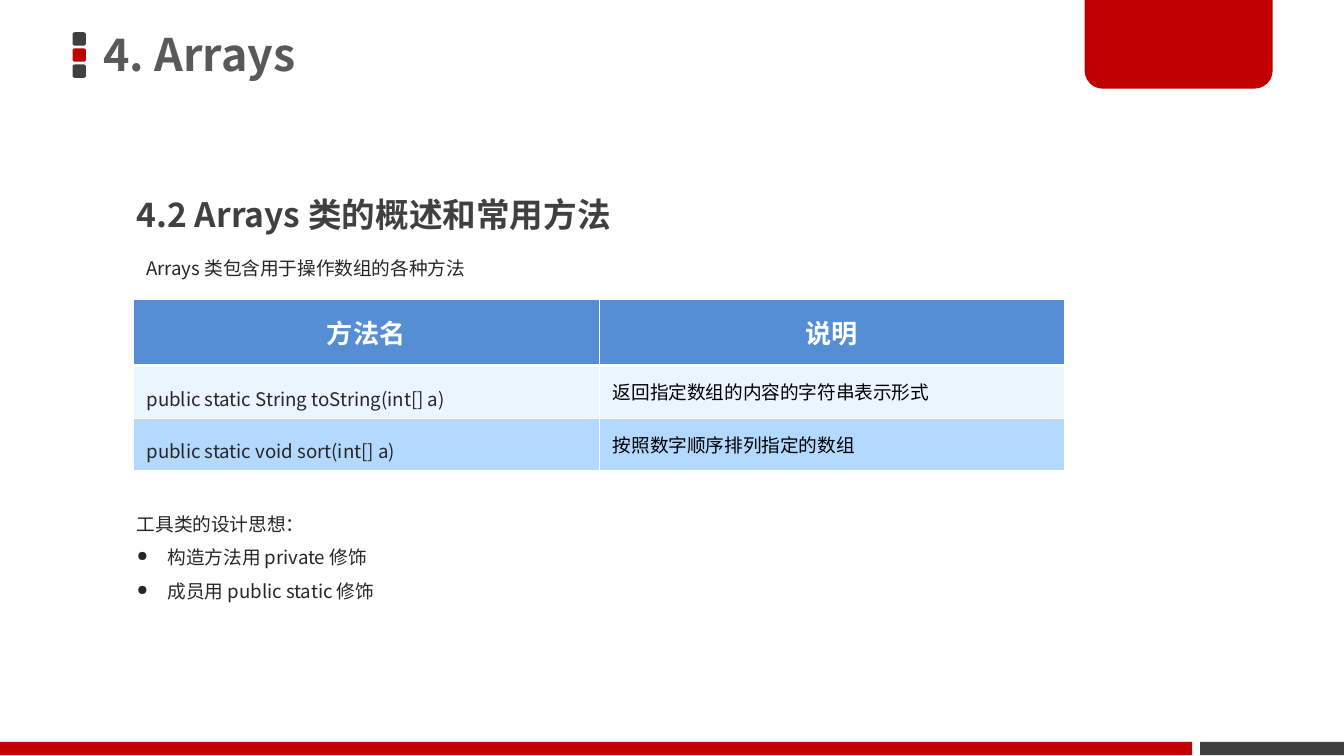
from dataclasses import dataclass

from lxml import etree
from pptx import Presentation, util as u
from pptx.dml.color import RGBColor
from pptx.enum import shapes, text
from pptx.oxml.ns import qn

WIDTH = 10
HEIGHT = WIDTH * 9 / 16


@dataclass(frozen=True)
class Theme:
    """Colours, font and type sizes of the slide."""
    font: str = "Noto Sans CJK SC"
    red: str = "C00000"
    dark: str = "404040"
    title: str = "595959"
    body: str = "262626"
    black: str = "000000"
    white: str = "FFFFFF"
    header: str = "558ED5"
    bands: tuple = ("EBF5FF", "B3D9FF")
    title_size: int = 24
    heading_size: int = 18
    header_size: int = 14
    body_size: int = 10


THEME = Theme()


def add_span(para, words, size, color, bold=False):
    """Add one formatted run to a paragraph."""
    span = para.add_run()
    span.text = words
    span.font.size = u.Pt(size)
    span.font.bold = bold
    span.font.name = THEME.font
    span.font.color.rgb = RGBColor.from_string(color)
    east = etree.SubElement(span.font._element, qn("a:ea"))
    east.set("typeface", THEME.font)


def add_block(page, place, color, kind=shapes.MSO_SHAPE.RECTANGLE, corners=()):
    """Add a filled shape without an outline."""
    block = page.shapes.add_shape(kind, *map(u.Inches, place))
    for index, corner in enumerate(corners):
        block.adjustments[index] = corner
    block.shadow.inherit = False
    block.fill.solid()
    block.fill.fore_color.rgb = RGBColor.from_string(color)
    block.line.fill.background()


def add_bullet(para, indent=0.23):
    """Give a paragraph a round bullet with a hanging indent."""
    properties = para._p.get_or_add_pPr()
    properties.set("marL", str(u.Inches(indent)))
    properties.set("indent", str(-u.Inches(indent)))
    color = etree.SubElement(properties, qn("a:buClr"))
    etree.SubElement(color, qn("a:srgbClr")).set("val", THEME.body)
    etree.SubElement(properties, qn("a:buSzPct")).set("val", "75000")
    etree.SubElement(properties, qn("a:buChar")).set("char", "●")


def add_text(page, place, lines, size, color, bold=False):
    """Add a text box; each line is a pair of words and a bullet flag."""
    box = page.shapes.add_textbox(*map(u.Inches, place))
    frame = box.text_frame
    frame.word_wrap = True
    for index, (words, bulleted) in enumerate(lines):
        para = frame.add_paragraph() if index else frame.paragraphs[0]
        para.line_spacing = 1.5
        if bulleted:
            add_bullet(para)
        add_span(para, words, size, color, bold)


def set_title(page, words):
    """Place and format the title placeholder."""
    title = page.shapes.title
    title.left, title.top, title.width, title.height = map(
        u.Inches, (0.69, -0.02, 5.89, 0.89))
    frame = title.text_frame
    frame.auto_size = text.MSO_AUTO_SIZE.NONE
    frame.vertical_anchor = text.MSO_ANCHOR.MIDDLE
    frame.margin_left = frame.margin_right = u.Inches(0.08)
    frame.margin_top = frame.margin_bottom = u.Inches(0.04)
    para = frame.paragraphs[0]
    para.alignment = text.PP_ALIGN.LEFT
    para.line_spacing = 0.9
    add_span(para, words, THEME.title_size, THEME.title, True)


def style_cell(cell, fill, borders):
    """Fill a cell and draw white borders of the given widths."""
    properties = cell._tc.get_or_add_tcPr()
    for side, width in borders.items():
        line = etree.SubElement(properties, qn(f"a:ln{side}"), w=str(u.Pt(width)))
        solid = etree.SubElement(line, qn("a:solidFill"))
        etree.SubElement(solid, qn("a:srgbClr")).set("val", THEME.white)
    cell.fill.solid()
    cell.fill.fore_color.rgb = RGBColor.from_string(fill)


def add_methods_table(page, rows):
    """Add the table of methods with a header and banded rows."""
    heights = [0.49] + [0.39] * (len(rows) - 1)
    place = (0.99, 2.23, 6.93, sum(heights))
    table = page.shapes.add_table(len(rows), 2, *map(u.Inches, place)).table
    for column, width in zip(table.columns, (3.47, 3.46)):
        column.width = u.Inches(width)
    for r, (row, height) in enumerate(zip(rows, heights)):
        table.rows[r].height = u.Inches(height)
        fill = THEME.bands[(r - 1) % 2] if r else THEME.header
        borders = {"L": 0.45, "R": 0.45, "T": 1.47 if r == 1 else 0.45,
                   "B": 0.45 if r else 1.47}
        for c, words in enumerate(row):
            cell = table.cell(r, c)
            style_cell(cell, fill, borders)
            para = cell.text_frame.paragraphs[0]
            if r == 0:
                para.alignment = text.PP_ALIGN.CENTER
                para.line_spacing = u.Pt(24)
                add_span(para, words, THEME.header_size, THEME.white, True)
                continue
            cell.vertical_anchor = text.MSO_ANCHOR.MIDDLE
            cell.margin_top = cell.margin_bottom = u.Inches(0.04)
            if c == 0:
                para.line_spacing = 1.5
            add_span(para, words, THEME.body_size, THEME.black if c else THEME.body)


def add_decoration(page):
    """Add the title marks, the corner tab and the footer bars."""
    for index, color in enumerate((THEME.dark, THEME.red, THEME.dark)):
        add_block(page, (0.54, 0.24 + 0.12 * index, 0.1, 0.1), color,
                  shapes.MSO_SHAPE.ROUNDED_RECTANGLE, (0.17,))
    add_block(page, (8.07, -0.02, 1.4, 0.68), THEME.red,
              shapes.MSO_SHAPE.ROUND_2_SAME_RECTANGLE, (0, 0.2))
    bar_top, bar_height, split, gap = 5.52, 0.1, 8.87, 0.06
    add_block(page, (0, bar_top, split, bar_height), THEME.red)
    add_block(page, (split + gap, bar_top, WIDTH - split - gap, bar_height), THEME.dark)


def main():
    """Build the slide and save the deck."""
    deck = Presentation()
    deck.slide_width, deck.slide_height = u.Inches(WIDTH), u.Inches(HEIGHT)
    page = deck.slides.add_slide(deck.slide_layouts[5])
    add_decoration(page)
    set_title(page, "4. Arrays")
    add_text(page, (0.92, 1.24, 3.84, 0.55), [("4.2 Arrays 类的概述和常用方法", False)],
             THEME.heading_size, THEME.dark, True)
    add_text(page, (0.99, 1.78, 7.87, 0.35), [("Arrays 类包含用于操作数组的各种方法", False)],
             THEME.body_size, THEME.body)
    add_methods_table(page, [
        ("方法名", "说明"),
        ("public static String toString(int[] a)", "返回指定数组的内容的字符串表示形式"),
        ("public static void sort(int[] a)", "按照数字顺序排列指定的数组"),
    ])
    add_text(page, (0.92, 3.68, 7.88, 0.85), [
        ("工具类的设计思想：", False),
        ("构造方法用 private 修饰", True),
        ("成员用 public static 修饰", True),
    ], THEME.body_size, THEME.body)
    deck.save("out.pptx")


if __name__ == "__main__":
    main()
